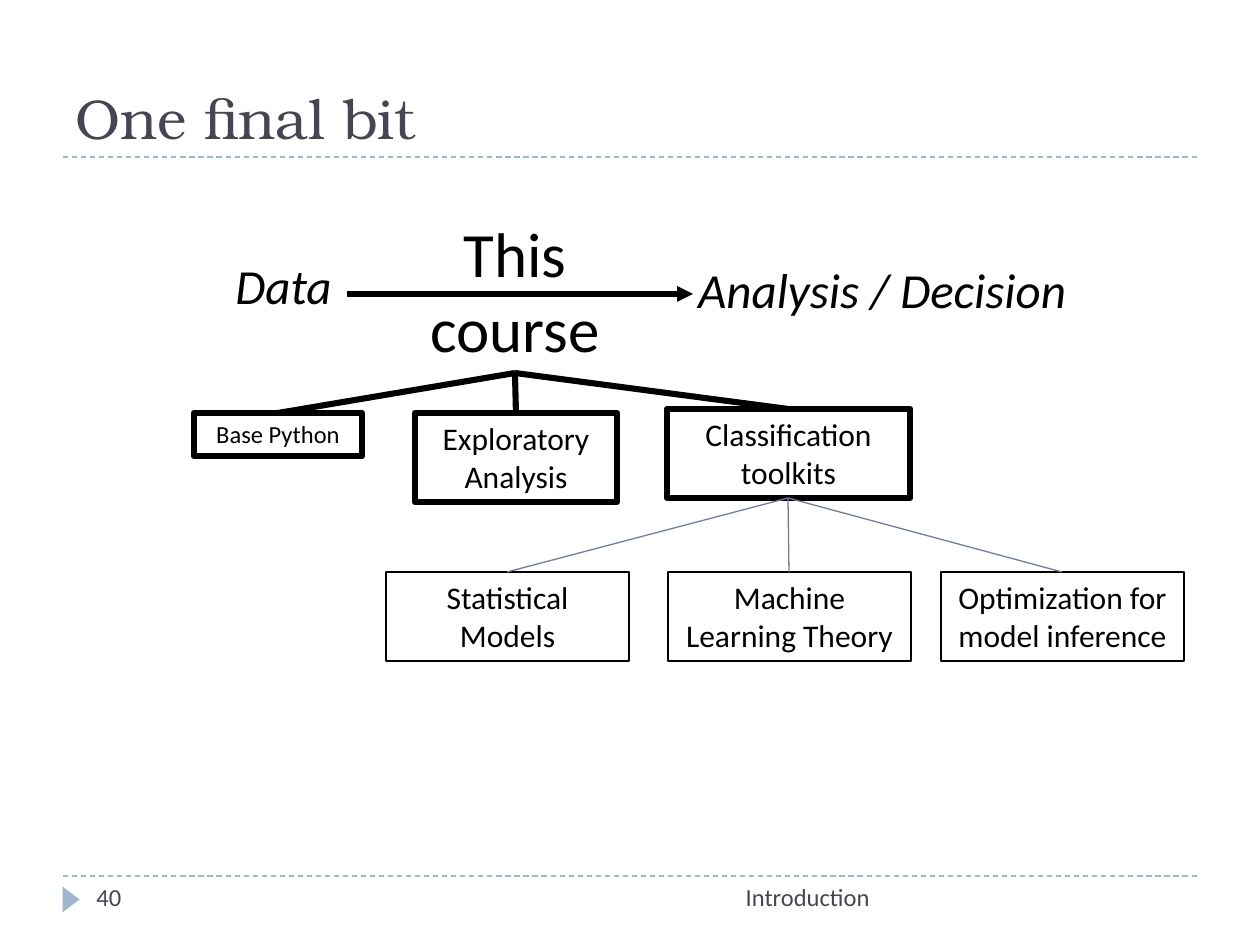
from dataclasses import dataclass

from lxml.etree import SubElement
from pptx import Presentation
from pptx.dml.color import RGBColor
from pptx.enum.dml import MSO_LINE
from pptx.enum.shapes import MSO_CONNECTOR, MSO_SHAPE
from pptx.enum.text import MSO_ANCHOR, PP_ALIGN
from pptx.oxml.ns import qn
from pptx.util import Emu, Pt

PX_PER_INCH = 126


@dataclass(frozen=True)
class Theme:
    heading_font: str = "TeX Gyre Bonum"
    body_font: str = "Calibri"
    ink: str = "000000"
    muted: str = "464653"
    accent: str = "9FB8CD"
    branch: str = "727CA3"
    title_size: int = 32
    course_size: int = 36
    flow_size: int = 28
    node_size: int = 18
    small_size: int = 14
    hairline: float = 0.75
    arrow_line: float = 3
    thick_branch: float = 3.5
    thick_border: float = 3.75


THEME = Theme()


@dataclass(frozen=True)
class Box:
    left: int
    top: int
    width: int
    height: int

    def inner(self, left, top, width, height):
        """Return a box whose position is measured from this box."""
        return Box(self.left + left, self.top + top, width, height)

    def emu(self):
        return [px(n) for n in (self.left, self.top, self.width, self.height)]

    @property
    def top_middle(self):
        return self.left + self.width // 2, self.top

    @property
    def bottom_middle(self):
        return self.left + self.width // 2, self.top + self.height


def px(length):
    return Emu(round(length * 914400 / PX_PER_INCH))


def colour(value):
    return RGBColor.from_string(value)


def write(shape, text, size, ink=THEME.ink, font=THEME.body_font,
          align=PP_ALIGN.CENTER, anchor=MSO_ANCHOR.TOP, italic=False):
    frame = shape.text_frame
    frame.word_wrap = True
    frame.vertical_anchor = anchor
    para = frame.paragraphs[0]
    para.alignment = align
    span = para.add_run()
    span.text = text
    span.font.name = font
    span.font.size = Pt(size)
    span.font.italic = italic
    span.font.color.rgb = colour(ink)


def add_text(page, box, text, size, **style):
    write(page.shapes.add_textbox(*box.emu()), text, size, **style)


def add_line(page, start, end, ink, width, dashed=False, arrow=False):
    line = page.shapes.add_connector(
        MSO_CONNECTOR.STRAIGHT, *(px(n) for n in (*start, *end)))
    line.line.color.rgb = colour(ink)
    line.line.width = Pt(width)
    if dashed:
        line.line.dash_style = MSO_LINE.DASH
    properties = line.element.spPr
    if arrow:
        SubElement(properties.find(qn("a:ln")), qn("a:tailEnd"), type="triangle")
    SubElement(properties, qn("a:effectLst"))


def add_rule(page, box, offset):
    """Draw a dashed rule across the box, offset px below its top."""
    top = box.top + offset
    add_line(page, (box.left, top), (box.left + box.width, top),
             THEME.accent, THEME.hairline, dashed=True)


def add_node(page, box, text, size, border):
    node = page.shapes.add_shape(MSO_SHAPE.RECTANGLE, *box.emu())
    node.shadow.inherit = False
    node.fill.background()
    node.line.color.rgb = colour(THEME.ink)
    node.line.width = Pt(border)
    write(node, text, size)


def add_header(page, box):
    add_rule(page, box, box.height)
    add_text(page, box, "One final bit", THEME.title_size, ink=THEME.muted,
             font=THEME.heading_font, align=PP_ALIGN.LEFT,
             anchor=MSO_ANCHOR.BOTTOM)


def add_footer(page, box):
    add_rule(page, box, 0)
    marker = page.shapes.add_shape(
        MSO_SHAPE.ISOSCELES_TRIANGLE, *box.inner(-5, 15, 26, 17).emu())
    marker.rotation = 90
    marker.shadow.inherit = False
    marker.fill.solid()
    marker.fill.fore_color.rgb = colour(THEME.accent)
    marker.line.fill.background()
    add_text(page, box.inner(336, 0, 483, box.height), "Introduction",
             THEME.small_size, ink=THEME.muted, align=PP_ALIGN.RIGHT)
    add_text(page, box.inner(21, 0, 273, box.height), "40",
             THEME.small_size, ink=THEME.muted, align=PP_ALIGN.LEFT)


def add_flow(page, box):
    """Draw the data-to-decision arrow and return the foot of its label."""
    add_text(page, box.inner(0, 41, 273, 72), "Data", THEME.flow_size, italic=True)
    add_text(page, box.inner(525, 45, 420, 72), "Analysis / Decision",
             THEME.flow_size, italic=True)
    arrow = box.inner(200, 86, 346, 0)
    add_line(page, (arrow.left, arrow.top), (arrow.left + arrow.width, arrow.top),
             THEME.ink, THEME.arrow_line, arrow=True)
    label = box.inner(242, 0, 252, 165)
    add_text(page, label, "This course", THEME.course_size)
    return label.bottom_middle


def add_level(page, parent, nodes, border, branch_ink, branch_width):
    """Draw one row of the tree, each node joined to the parent point."""
    for box, text, size in nodes:
        add_node(page, box, text, size, border)
        add_line(page, box.top_middle, parent, branch_ink, branch_width)


def add_topic_tree(page, box, root):
    toolkits = box.inner(473, 0, 243, 89)
    topics = [
        (box.inner(0, 4, 168, 43), "Base Python", THEME.small_size),
        (box.inner(221, 4, 202, 89), "Exploratory Analysis", THEME.node_size),
        (toolkits, "Classification toolkits", THEME.node_size),
    ]
    theories = [
        (box.inner(left, 163, 243, 89), text, THEME.node_size)
        for left, text in ((192, "Statistical Models"),
                           (474, "Machine Learning Theory"),
                           (747, "Optimization for model inference"))
    ]
    add_level(page, root, topics, THEME.thick_border, THEME.ink,
              THEME.thick_branch)
    add_level(page, toolkits.bottom_middle, theories, THEME.hairline,
              THEME.branch, THEME.hairline)


def main():
    deck = Presentation()
    deck.slide_width, deck.slide_height = px(1260), px(945)
    page = deck.slides.add_slide(deck.slide_layouts[6])
    add_header(page, Box(63, 21, 1134, 136))
    add_footer(page, Box(63, 876, 1134, 50))
    root = add_flow(page, Box(147, 208, 945, 165))
    add_topic_tree(page, Box(194, 409, 990, 252), root)
    deck.save("out.pptx")


if __name__ == "__main__":
    main()
